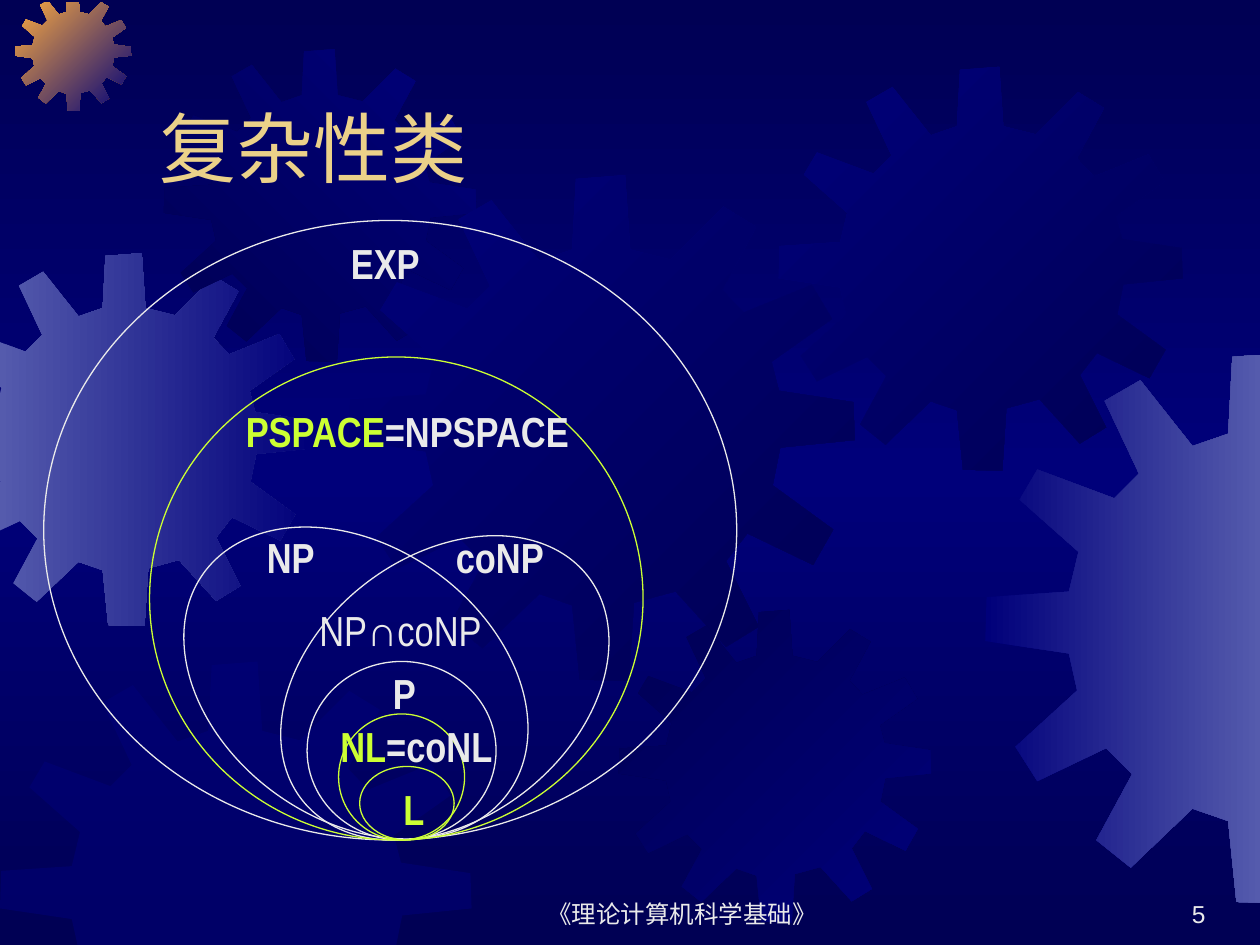
from copy import deepcopy

from lxml.etree import SubElement
from pptx import Presentation
from pptx.dml.color import RGBColor
from pptx.enum.shapes import MSO_SHAPE as Shape
from pptx.enum.text import MSO_ANCHOR as Anchor, PP_ALIGN as Align
from pptx.oxml.ns import qn
from pptx.util import Pt

WIDTH, HEIGHT = 720, 540
NAVY = RGBColor(0x00, 0x00, 0x54)
BLUE = RGBColor(0x00, 0x00, 0x7A)
STEEL = RGBColor(0x55, 0x5B, 0xAD)
ORANGE = RGBColor(0xFC, 0xAB, 0x40)
GOLD = RGBColor(0xEB, 0xD1, 0x89)
WHITE = RGBColor(0xEA, 0xEA, 0xEA)
LIME = RGBColor(0xCC, 0xFF, 0x33)

# Outline of a twelve-toothed gear in a box of GEAR_UNITS by GEAR_UNITS
GEAR_UNITS = 401
GEAR_OUTLINE = [
    (255, 67), (223, 59), (219, 0), (180, 3), (177, 59), (151, 68),
    (113, 20), (87, 35), (112, 88), (94, 106), (38, 85), (25, 107),
    (68, 145), (61, 174), (1, 178), (0, 210), (61, 219), (67, 246),
    (22, 287), (38, 312), (88, 288), (107, 307), (81, 355), (106, 375),
    (151, 332), (177, 341), (183, 400), (222, 401), (226, 339), (259, 330),
    (299, 374), (325, 358), (299, 306), (316, 284), (368, 309), (384, 281),
    (336, 246), (342, 216), (401, 210), (400, 180), (341, 171), (335, 148),
    (383, 114), (367, 87), (313, 109), (296, 91), (323, 41), (297, 25),
]
# Left, top, size, colours, clockwise gradient angle
GEARS = [
    (-35.3, 144.7, 213, (STEEL, BLUE), 0),
    (8.6, -2.9, 66.3, (ORANGE, BLUE), 45),
    (93.6, 28.1, 178.6, (NAVY, BLUE), 315),
    (199.4, 100.1, 289, (BLUE, NAVY), 45),
    (0, 378, 269.5, (BLUE,), 0),
    (353.5, 348.5, 178.6, (NAVY, BLUE), 45),
    (445, 38.2, 230.8, (BLUE, NAVY), 45),
    (563, 201.6, 314.6, (BLUE, STEEL), 0),
]
# Axis, limit and direction of the side that is kept
PAGE_EDGES = [(0, -0.7, 1), (0, WIDTH + 0.7, -1), (1, 1.4, 1), (1, HEIGHT + 2.9, -1)]

# Left, width, height and colour; all rest on the bottom of the diagram
NESTED_CLASSES = [
    (150.5, 108, 102, WHITE),
    (0, 396, 354, WHITE),
    (60.5, 282, 276, LIME),
    (168.5, 72, 72, LIME),
    (180.5, 54, 42, LIME),
]
# Left, top, width, height, rotation
TILTED_CLASSES = [
    (100.3, 157, 156.2, 214.6, 305.7),
    (154.3, 163.4, 149.8, 207.4, 51.9),
]
# Left, top, width, runs, bold
CLASS_LABELS = [
    (192.4, 252, 42, [("P", WHITE)], True),
    (120.4, 174, 54, [("NP", WHITE)], True),
    (228.4, 174, 78, [("coNP", WHITE)], True),
    (150.4, 216, 114, [("NP∩coNP", WHITE)], False),
    (168.4, 6, 54, [("EXP", WHITE)], True),
    (108.4, 102, 216, [("PSPACE", LIME), ("=NPSPACE", WHITE)], True),
    (162.4, 282, 108, [("NL", LIME), ("=coNL", WHITE)], True),
    (198.4, 318, 36, [("L", LIME)], True),
]


def write(shape, runs, size, font="Arial", bold=False, align=Align.LEFT, anchor=Anchor.TOP):
    """Fill a shape with one paragraph of (text, colour) runs."""
    frame = shape.text_frame
    frame.word_wrap = True
    frame.vertical_anchor = anchor
    paragraph = frame.paragraphs[0]
    paragraph.alignment = align
    for text, colour in runs:
        run = paragraph.add_run()
        run.text = text
        run.font.size = Pt(size)
        run.font.name = font
        run.font.bold = bold
        run.font.color.rgb = colour


def set_gradient(fill, owner, colours, angle):
    """Spread the colours evenly along a clockwise angle."""
    fill.gradient()
    fill.gradient_angle = (360 - angle) % 360
    stop_list = next(owner.iter(qn("a:gsLst")))
    while len(stop_list) < len(colours):
        stop_list.append(deepcopy(stop_list[0]))
    for i, (stop, colour) in enumerate(zip(fill.gradient_stops, colours)):
        stop.position = i / (len(colours) - 1)
        stop.color.rgb = colour


def clip(points, axis, limit, direction):
    """Cut a polygon at a horizontal or vertical line."""
    kept = []
    for a, b in zip(points, points[1:] + points[:1]):
        a_gap, b_gap = ((p[axis] - limit) * direction for p in (a, b))
        if a_gap >= 0:
            kept.append(a)
        if a_gap * b_gap < 0:
            share = a_gap / (a_gap - b_gap)
            kept.append(tuple(m + (n - m) * share for m, n in zip(a, b)))
    return kept


def add_gear(slide, left, top, size, colours, angle):
    scale = size / GEAR_UNITS
    outline = [(left + x * scale, top + y * scale) for x, y in GEAR_OUTLINE]
    for edge in PAGE_EDGES:
        outline = clip(outline, *edge)
    start, *rest = [(Pt(x), Pt(y)) for x, y in outline]
    builder = slide.shapes.build_freeform(*start)
    builder.add_line_segments(rest)
    gear = builder.convert_to_shape()
    gear.shadow.inherit = False
    gear.line.fill.background()
    if len(colours) > 1:
        set_gradient(gear.fill, gear.element, colours, angle)
    else:
        gear.fill.solid()
        gear.fill.fore_color.rgb = colours[0]
        colour = next(gear.element.spPr.iter(qn("a:srgbClr")))
        SubElement(colour, qn("a:alpha"), val="50000")


def add_backdrop(slide):
    set_gradient(slide.background.fill, slide.element, (NAVY, BLUE, NAVY), 90)
    for gear in GEARS:
        add_gear(slide, *gear)


def add_title(slide, left, top, width, height):
    title = slide.shapes.title
    title.left, title.top, title.width, title.height = map(Pt, (left, top, width, height))
    write(title, [("复杂性类", GOLD)], 44, anchor=Anchor.BOTTOM)
    title.element.getparent().append(title.element)  # in front of the gears


def add_footer(slide, top, height):
    for left, width, text, align in [
        (275.8, 228, "《理论计算机科学基础》", Align.CENTER),
        (546, 150, "5", Align.RIGHT),
    ]:
        box = slide.shapes.add_textbox(Pt(left), Pt(top), Pt(width), Pt(height))
        write(box, [(text, WHITE)], 14, align=align, anchor=Anchor.BOTTOM)


def add_ellipse(diagram, left, top, width, height, colour, rotation=0):
    ellipse = diagram.shapes.add_shape(Shape.OVAL, Pt(left), Pt(top), Pt(width), Pt(height))
    ellipse.rotation = rotation
    ellipse.shadow.inherit = False
    ellipse.fill.background()
    ellipse.line.color.rgb = colour
    ellipse.line.width = Pt(0.75)


def add_class_diagram(slide, left, top, height):
    diagram = slide.shapes.add_group_shape()
    for x, y, w, h, rotation in TILTED_CLASSES:
        add_ellipse(diagram, left + x, top + y, w, h, WHITE, rotation)
    for x, w, h, colour in NESTED_CLASSES:
        add_ellipse(diagram, left + x, top + height - h, w, h, colour)
    for x, y, w, runs, bold in CLASS_LABELS:
        label = diagram.shapes.add_textbox(Pt(left + x), Pt(top + y), Pt(w), Pt(36))
        write(label, runs, 24, font="Arial Narrow", bold=bold)


def main():
    deck = Presentation()
    deck.slide_width, deck.slide_height = Pt(WIDTH), Pt(HEIGHT)
    slide = deck.slides.add_slide(deck.slide_layouts[5])
    add_backdrop(slide)
    add_footer(slide, 498, 36)
    add_title(slide, 84, 24, 612, 90)
    add_class_diagram(slide, 25, 126, 354)
    deck.save("out.pptx")


if __name__ == "__main__":
    main()
